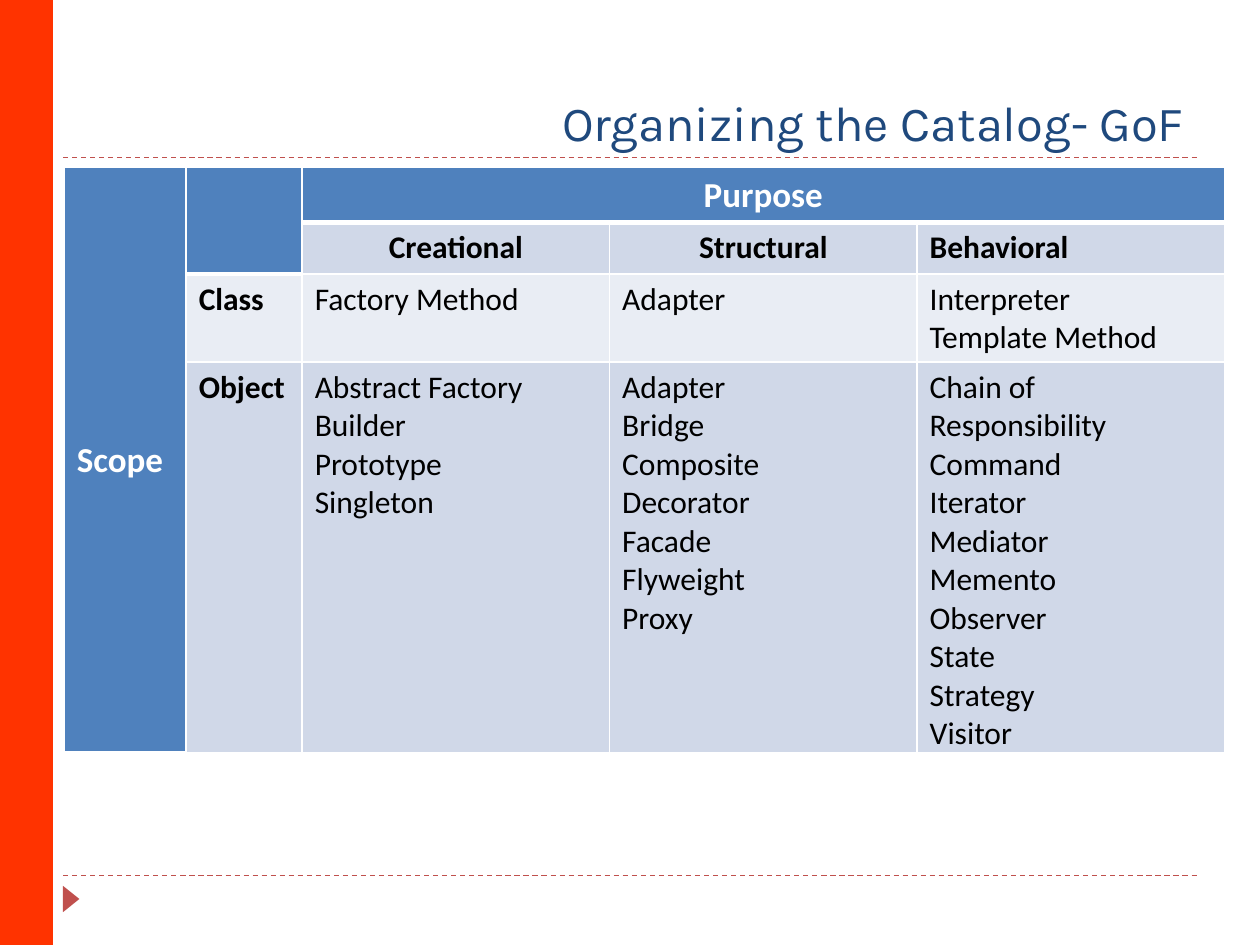
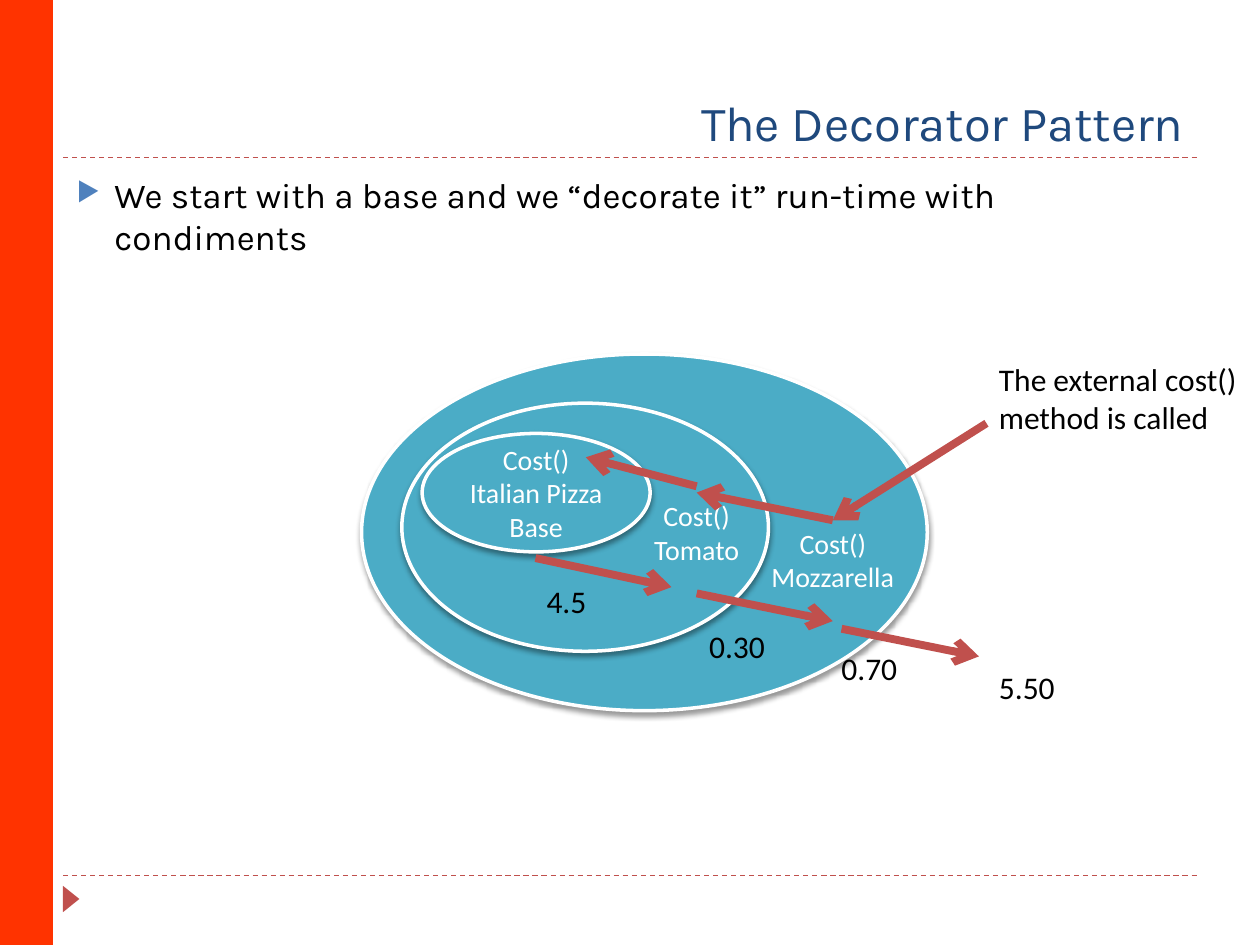
from lxml import etree
from pptx import Presentation
from pptx.dml.color import RGBColor
from pptx.enum.dml import MSO_LINE
from pptx.enum.shapes import MSO_CONNECTOR, MSO_SHAPE
from pptx.enum.text import MSO_ANCHOR, MSO_AUTO_SIZE, PP_ALIGN
from pptx.oxml.ns import qn
from pptx.util import Pt

STRAIGHT = MSO_CONNECTOR.STRAIGHT
RECTANGLE, OVAL, TRIANGLE = MSO_SHAPE.RECTANGLE, MSO_SHAPE.OVAL, MSO_SHAPE.ISOSCELES_TRIANGLE
LEFT, CENTER, RIGHT = PP_ALIGN.LEFT, PP_ALIGN.CENTER, PP_ALIGN.RIGHT
TOP, MIDDLE, BOTTOM = MSO_ANCHOR.TOP, MSO_ANCHOR.MIDDLE, MSO_ANCHOR.BOTTOM
DASH, GROW = MSO_LINE.DASH, MSO_AUTO_SIZE.SHAPE_TO_FIT_TEXT

COLORS = {
    "white": "FFFFFF", "black": "000000", "title": "1F497D", "side_band": "FF3300",
    "accent": "C0504D", "header": "4F81BD", "band_dark": "D0D8E8",
    "band_light": "E9EDF4", "ellipse": "4BACC6",
}
BODY_FONT, DIAGRAM_FONT = "Karla", "Calibri"

TITLE_BOX = (36.7, 12.2, 646.6, 77.8)
BODY_BOX = (36.7, 95.8, 648, 66.2)
TABLE_BOX = (36.7, 95.8, 663.1, 118)
DIAGRAM_BOX = (206.6, 202.3, 323.3, 203.8)

COLUMN_WIDTHS = (69.7, 66.3, 175.7, 175.7, 175.7)
CATALOG = [
    ["Scope", "", "Purpose", "", ""],
    ["", "", "Creational", "Structural", "Behavioral"],
    ["", "Class", "Factory Method", "Adapter", "Interpreter\nTemplate Method"],
    ["", "Object", "Abstract Factory\nBuilder\nPrototype\nSingleton",
     "Adapter\nBridge\nComposite\nDecorator\nFacade\nFlyweight\nProxy",
     "Chain of Responsibility\nCommand\nIterator\nMediator\nMemento\n"
     "Observer\nState\nStrategy\nVisitor"],
]

# Diagram parts, relative to the diagram box
ELLIPSES = [
    ((0, 0, 323.3, 203.8), ""),
    ((23, 28.1, 209.5, 141.8), ""),
    ((34.6, 45.4, 130.3, 67.7), "Cost()\vItalian Pizza Base"),
]
LAYER_LABELS = [
    ((11.5, 79.2, 360, 46.1), "Cost()\vTomato"),
    ((136.1, 95, 266.4, 46.1), "Cost()\vMozzarella"),
]
NOTES = [
    ((357.1, 0, 151.9, 51.1), "The external cost()\vmethod is called"),
    ((98.6, 126.7, 37.4, 28.8), "4.5"),
    ((191.5, 152.6, 46.8, 28.8), "0.30"),
    ((267.1, 164.9, 46.8, 28.8), "0.70"),
    ((357.1, 175.7, 46.8, 28.8), "5.50"),
]
CALL_ARROWS = [
    (357.1, 39.6, 269.3, 95),
    (269.3, 95, 191.5, 79.2),
    (191.5, 75.6, 128.2, 59),
]
RETURN_ARROWS = [
    (99.4, 116.6, 177.1, 133.2),
    (191.5, 136.8, 269.3, 152.6),
    (274.3, 157, 352.8, 172.8),
]


def color(name):
    return RGBColor.from_string(COLORS[name])


def points(values):
    return [Pt(value) for value in values]


def inside(box, part):
    """Shift a part's left and top by those of its box."""
    return (box[0] + part[0], box[1] + part[1], *part[2:])


def add_element(parent, tag, **attributes):
    element = etree.SubElement(parent, qn(tag))
    for name, value in attributes.items():
        element.set(name, str(value))
    return element


def style_paragraph(paragraph, font, size, color_name, align=LEFT, bold=False):
    paragraph.alignment = align
    paragraph.font.name = font
    paragraph.font.size = Pt(size)
    paragraph.font.bold = bold
    paragraph.font.color.rgb = color(color_name)


def add_text(slide, box, text, font, size, color_name, align=LEFT, anchor=TOP,
             wrap=True, grow=False):
    frame = slide.shapes.add_textbox(*points(box)).text_frame
    frame.word_wrap = wrap
    frame.vertical_anchor = anchor
    if grow:
        frame.auto_size = GROW
    paragraph = frame.paragraphs[0]
    paragraph.text = text
    style_paragraph(paragraph, font, size, color_name, align)
    return paragraph


def add_solid(slide, preset, box, fill_name):
    shape = slide.shapes.add_shape(preset, *points(box))
    shape.shadow.inherit = False
    shape.fill.solid()
    shape.fill.fore_color.rgb = color(fill_name)
    shape.line.fill.background()
    return shape


def add_line(slide, ends, width):
    connector = slide.shapes.add_connector(STRAIGHT, *points(ends))
    connector.line.color.rgb = color("accent")
    connector.line.width = Pt(width)
    add_element(connector.element.spPr, "a:effectLst")
    return connector


def add_arrow(slide, ends):
    connector = add_line(slide, ends, 4.5)
    add_element(connector.element.spPr.find(qn("a:ln")), "a:tailEnd", type="arrow")


def add_frame(presentation, title):
    """Start a slide with the shared rules, footer marker, side band and title."""
    slide = presentation.slides.add_slide(presentation.slide_layouts[6])
    for y in (500.4, 90):
        add_line(slide, (36, y, 684, y), 0.75).line.dash_style = DASH
    marker = add_solid(slide, TRIANGLE, (33.1, 509, 15.1, 9.4), "accent")
    marker.rotation = 90
    add_solid(slide, RECTANGLE, (0, 0, 30.2, 540), "side_band")
    add_text(slide, TITLE_BOX, title, BODY_FONT, 28, "title", RIGHT, BOTTOM)
    return slide


def set_borders(cell, top, bottom):
    properties = cell._tc.get_or_add_tcPr()
    sides = (("a:lnL", 1), ("a:lnR", 1), ("a:lnT", top), ("a:lnB", bottom))
    for position, (tag, width) in enumerate(sides):
        line = add_element(properties, tag, w=Pt(width))
        add_element(add_element(line, "a:solidFill"), "a:srgbClr", val=COLORS["white"])
        properties.insert(position, line)


def add_catalog_table(slide, box):
    table = slide.shapes.add_table(4, 5, *points(box)).table
    table.first_row = table.horz_banding = False
    for column, width in zip(table.columns, COLUMN_WIDTHS):
        column.width = Pt(width)

    for r, row in enumerate(CATALOG):
        for c, text in enumerate(row):
            cell = table.cell(r, c)
            header = r == 0 or c == 0 or (r, c) == (1, 1)
            below_header = (r == 1 and c > 1) or (r, c) == (2, 1)
            # Header cells are blue; the other rows alternate
            fill_name = "header" if header else "band_light" if r == 2 else "band_dark"
            cell.fill.solid()
            cell.fill.fore_color.rgb = color(fill_name)
            set_borders(cell, 3 if below_header else 1, 3 if header else 1)
            if not text:
                continue
            cell.text_frame.text = text
            centered = text in ("Purpose", "Creational", "Structural")
            for paragraph in cell.text_frame.paragraphs:
                style_paragraph(paragraph, DIAGRAM_FONT, 20 if header else 18,
                                "white" if header else "black",
                                CENTER if centered else LEFT, bold=r < 2 or c < 2)

    # Merged headers
    table.cell(0, 0).merge(table.cell(3, 0))
    table.cell(0, 1).merge(table.cell(1, 1))
    table.cell(0, 2).merge(table.cell(0, 4))
    table.cell(0, 0).vertical_anchor = MIDDLE


def add_bullet(slide, box, text):
    paragraph = add_text(slide, box, text, BODY_FONT, 20, "black")
    paragraph.space_before, paragraph.space_after = Pt(12), Pt(6)
    properties = paragraph._p.get_or_add_pPr()
    properties.set("marL", str(Pt(21.6)))
    properties.set("indent", str(Pt(-21.6)))
    default_font = properties.find(qn("a:defRPr"))
    bullet_color = add_element(properties, "a:buClr")
    add_element(bullet_color, "a:srgbClr", val=COLORS["header"])
    bullet_size = add_element(properties, "a:buSzPct", val=76000)
    bullet = add_element(properties, "a:buChar", char="▶")
    for element in (bullet_color, bullet_size, bullet):
        default_font.addprevious(element)


def add_ellipse(slide, box, text):
    ellipse = add_solid(slide, OVAL, box, "ellipse")
    ellipse.line.color.rgb = color("white")
    ellipse.line.width = Pt(2)
    # Soft shadow straight below
    effects = ellipse.element.spPr.find(qn("a:effectLst"))
    shadow = add_element(effects, "a:outerShdw", blurRad=Pt(3), dist=Pt(2),
                         dir=90 * 60000, rotWithShape=0)
    shade = add_element(shadow, "a:srgbClr", val=COLORS["black"])
    add_element(shade, "a:alpha", val=40000)
    if text:
        ellipse.text_frame.vertical_anchor = MIDDLE
        paragraph = ellipse.text_frame.paragraphs[0]
        paragraph.text = text
        style_paragraph(paragraph, DIAGRAM_FONT, 16, "white", CENTER)


def add_decorator_diagram(slide, box):
    for part, text in ELLIPSES:
        add_ellipse(slide, inside(box, part), text)
    for part, text in LAYER_LABELS:
        add_text(slide, inside(box, part), text, DIAGRAM_FONT, 16, "white", CENTER, grow=True)
    for x1, y1, x2, y2 in CALL_ARROWS + RETURN_ARROWS:
        add_arrow(slide, inside(box, (x1, y1)) + inside(box, (x2, y2)))
    for part, text in NOTES:
        add_text(slide, inside(box, part), text, DIAGRAM_FONT, 18, "black",
                 wrap=False, grow=True)


def main():
    presentation = Presentation()
    presentation.slide_width, presentation.slide_height = Pt(720), Pt(540)

    catalog_slide = add_frame(presentation, "Organizing the Catalog- GoF")
    add_catalog_table(catalog_slide, TABLE_BOX)

    decorator_slide = add_frame(presentation, "The Decorator Pattern")
    add_bullet(decorator_slide, BODY_BOX,
               "We start with a base and we “decorate it” run-time with condiments")
    add_decorator_diagram(decorator_slide, DIAGRAM_BOX)

    presentation.save("out.pptx")


if __name__ == "__main__":
    main()
